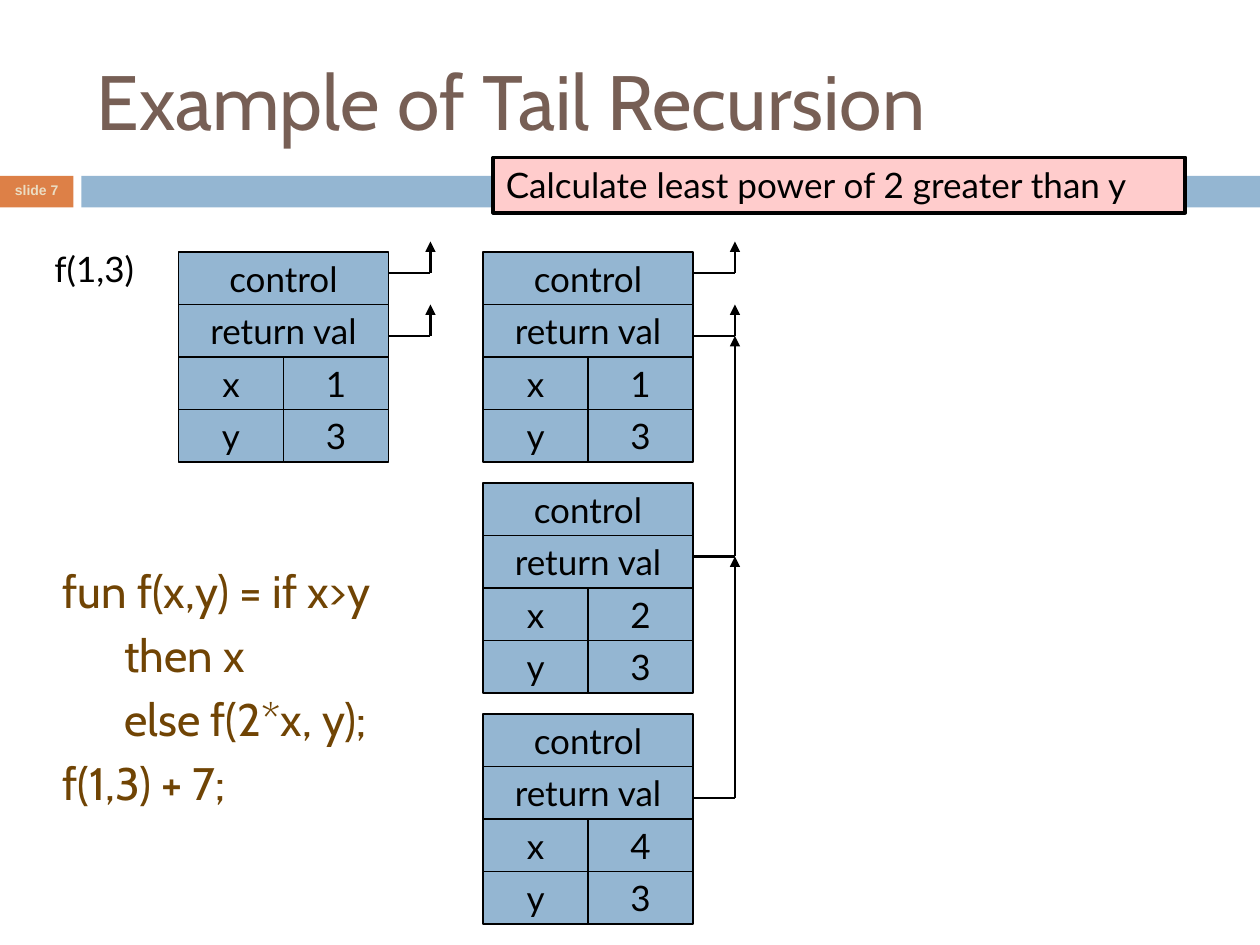
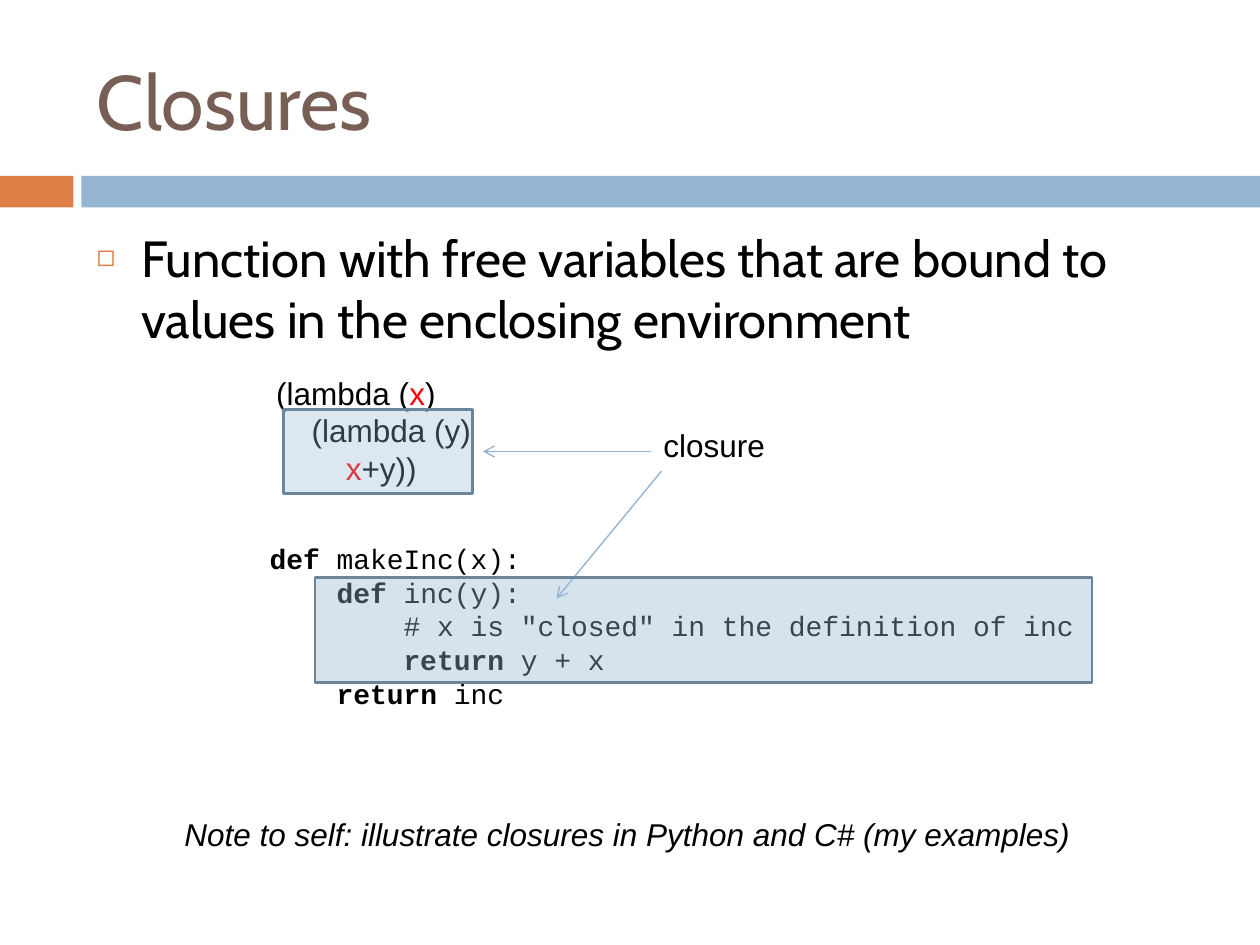
from dataclasses import dataclass

from lxml.etree import SubElement
from pptx import Presentation
from pptx.dml.color import RGBColor
from pptx.enum.shapes import MSO_CONNECTOR as Connector, MSO_SHAPE as Shape
from pptx.enum.text import MSO_ANCHOR as Anchor, MSO_AUTO_SIZE as AutoSize, PP_ALIGN as Align
from pptx.oxml.ns import qn
from pptx.util import Pt

EMU_PER_PX = 9525  # 96 px to the inch

BLACK = RGBColor(0x00, 0x00, 0x00)
RED = RGBColor(0xFF, 0x00, 0x00)
BLUE = RGBColor(0x94, 0xB6, 0xD2)
STEEL = RGBColor(0x6B, 0x85, 0x9A)
ORANGE = RGBColor(0xDD, 0x80, 0x47)
BROWN = RGBColor(0x77, 0x5F, 0x55)
UMBER = RGBColor(0x70, 0x44, 0x04)
SAND = RGBColor(0xEB, 0xDD, 0xC3)
PINK = RGBColor(0xFF, 0xCC, 0xCC)

TITLE = {"name": "Cabin", "size": 44, "color": BROWN}
CODE_LIST = {"name": "Cabin", "size": 26, "color": UMBER}
BULLET = {"name": "Cabin", "size": 29, "color": BLACK}
TAG = {"name": "Arial", "size": 8, "color": SAND, "bold": True}
DIAGRAM = {"name": "Lato", "size": 20, "color": BLACK}
PLAIN = {"name": "Arial", "size": 18, "color": BLACK}
MONO = {"name": "Courier New", "size": 16, "color": BLACK}


def px(length):
    return round(length * EMU_PER_PX)


@dataclass
class Box:
    left: int
    top: int
    width: int
    height: int

    def inner(self, left, top, width, height):
        return Box(self.left + left, self.top + top, width, height)

    def point(self, x, y):
        return self.left + x, self.top + y

    def emu(self):
        return [px(side) for side in (self.left, self.top, self.width, self.height)]


SLIDE = Box(0, 0, 960, 720)


# Text: a line is (indent in px, spans); a span is (text, changed formats)
def format_font(font, formats):
    for key, value in formats.items():
        if key == "color":
            font.color.rgb = value
        else:
            setattr(font, key, Pt(value) if key == "size" else value)


def write_lines(frame, lines, style, hanging=0, **para_formats):
    for number, (indent, spans) in enumerate(lines):
        para = frame.add_paragraph() if number else frame.paragraphs[0]
        for key, value in para_formats.items():
            setattr(para, key, value)
        props = para._p.get_or_add_pPr()
        props.set("marL", str(px(indent)))
        props.set("indent", str(px(-hanging)))
        for text, changes in spans:
            span = para.add_run()
            span.text = text
            format_font(span.font, {**style, **changes})


def one_line(text):
    return [(0, [(text, {})])]


def set_frame(frame, anchor):
    for key, value in {"word_wrap": True, "auto_size": AutoSize.NONE,
                       "vertical_anchor": anchor}.items():
        setattr(frame, key, value)


def add_text(page, box, lines, style, align=Align.LEFT, anchor=Anchor.TOP, leading=1.2):
    frame = page.shapes.add_textbox(*box.emu()).text_frame
    set_frame(frame, anchor)
    write_lines(frame, lines, style, alignment=align,
                line_spacing=Pt(style["size"] * leading))


def fill_placeholder(holder, box, lines, style, anchor=Anchor.TOP, **formats):
    for key, value in zip(("left", "top", "width", "height"), box.emu()):
        setattr(holder, key, value)
    set_frame(holder.text_frame, anchor)
    write_lines(holder.text_frame, lines, style, alignment=Align.LEFT, **formats)
    return [para._p.get_or_add_pPr() for para in holder.text_frame.paragraphs]


# Shapes and lines
def add_rect(page, box, fill, line=None, line_width=0.75, alpha=None):
    rect = page.shapes.add_shape(Shape.RECTANGLE, *box.emu())
    rect.shadow.inherit = False
    rect.fill.solid()
    rect.fill.fore_color.rgb = fill
    if alpha:
        color = rect._element.spPr.find(qn("a:solidFill"))[0]
        SubElement(color, qn("a:alpha"), val=str(alpha * 1000))
    if line is None:
        rect.line.fill.background()
    else:
        rect.line.color.rgb = line
        rect.line.width = Pt(line_width)
    return rect


def add_label_rect(page, box, text, fill=BLUE, align=Align.CENTER,
                   anchor=Anchor.MIDDLE, line_width=0.75):
    rect = add_rect(page, box, fill, BLACK, line_width)
    set_frame(rect.text_frame, anchor)
    write_lines(rect.text_frame, one_line(text), DIAGRAM, alignment=align)


def add_line(page, start, end, color, width, head=None):
    line = page.shapes.add_connector(
        Connector.STRAIGHT, *[px(value) for value in (*start, *end)])
    line.line.color.rgb = color
    line.line.width = Pt(width)
    if head:
        SubElement(line.line._get_or_add_ln(), qn("a:tailEnd"), type=head)
    SubElement(line._element.spPr, qn("a:effectLst"))


# What both slides share: title and the two bands
def add_page(deck, title):
    page = deck.slides.add_slide(deck.slide_layouts[1])
    fill_placeholder(page.shapes.title, SLIDE.inner(64, 24, 856, 104),
                     one_line(title), TITLE, Anchor.MIDDLE)
    add_rect(page, SLIDE.inner(0, 134, 56, 24), ORANGE)
    add_rect(page, SLIDE.inner(62, 134, 898, 24), BLUE)
    return page


# One activation record: two full rows, then name and value pairs
def add_record(page, box, x, y):
    row, half = box.height // 4, box.width // 2
    for number, text in enumerate(("control", "return val")):
        add_label_rect(page, box.inner(0, number * row, box.width, row), text)
    for number, pair in enumerate((("x", x), ("y", y)), start=2):
        for column, text in enumerate(pair):
            add_label_rect(page, box.inner(column * half, number * row, half, row), str(text))


# A pointer leaves the record's right side and turns upwards
def add_pointer(page, box, offset, rise):
    corner = box.point(box.width + 32, offset)
    add_line(page, box.point(box.width, offset), corner, BLACK, 1.5)
    add_line(page, corner, (corner[0], corner[1] - rise), BLACK, 1.5, "triangle")


def build_recursion(deck):
    page = add_page(deck, "Example of Tail Recursion")
    add_text(page, SLIDE.inner(0, 133, 56, 26), one_line("slide 7"), TAG,
             Align.CENTER, Anchor.MIDDLE, leading=0.92)

    # Function definition
    source = [(38, "fun f(x,y) = if x>y"), (85, "then x"),
              (85, "else f(2*x, y);"), (38, "f(1,3) + 7;")]
    for props in fill_placeholder(
            page.placeholders[1], SLIDE.inner(0, 424, 368, 224),
            [(indent, [(text, {})]) for indent, text in source],
            CODE_LIST, space_before=Pt(5.5)):
        SubElement(props, qn("a:buNone"))

    # First call alone, then the stack of three calls
    first_call = SLIDE.inner(136, 192, 160, 160)
    stack = [SLIDE.inner(368, 192 + 176 * depth, 160, 160) for depth in range(3)]
    add_record(page, first_call, 1, 3)
    for depth, record in enumerate(stack):
        add_record(page, record, 2 ** depth, 3)

    # Control and return pointers
    for record in (first_call, stack[0]):
        for offset in (16, 64):
            add_pointer(page, record, offset, 24)
    add_pointer(page, stack[1], 56, 168)
    add_pointer(page, stack[2], 64, 184)

    add_text(page, SLIDE.inner(32, 184, 120, 42), one_line("f(1,3)"), DIAGRAM)
    add_label_rect(page, SLIDE.inner(376, 120, 527, 42),
                   "Calculate least power of 2 greater than y",
                   PINK, Align.LEFT, Anchor.TOP, 2.25)


# Lambda expression with its closure marked
def add_lambda(page, box):
    red = {"color": RED}
    add_text(page, box, [
        (0, [("(lambda (", {}), ("x", red), (")", {})]),
        (27, [("(lambda (y)", {})]),
        (53, [("x", red), ("+y))", {})]),
    ], PLAIN)
    add_rect(page, box.inner(15, 32, 144, 64), BLUE, STEEL, 1.5, alpha=32)


# Python function, the arrow to its closure and the marked closure
def add_python(page, box, arrow_start):
    bold, step = {"bold": True}, 51
    add_text(page, box, [
        (0, [("def", bold), (" makeInc(x):", {})]),
        (step, [("def", bold), (" inc(y):", {})]),
        (2 * step, [('# x is "closed" in the definition of inc', {})]),
        (2 * step, [("return", bold), (" y + x", {})]),
        (step, [("return", bold), (" inc", {})]),
    ], MONO)
    add_line(page, arrow_start, box.point(228, 48), BLUE, 0.79, "arrow")
    add_rect(page, box.inner(44, 32, 592, 80), BLUE, STEEL, 1.5, alpha=38)


def build_closures(deck):
    page = add_page(deck, "Closures")
    definition = "Function with free variables that are bound to values in the enclosing environment"
    for props in fill_placeholder(
            page.placeholders[1], SLIDE.inner(64, 168, 856, 472),
            [(34, [(definition, {})])], BULLET, hanging=34, space_before=Pt(7)):
        SubElement(SubElement(props, qn("a:buClr")), qn("a:srgbClr"), val=str(ORANGE))
        SubElement(props, qn("a:buSzPct"), val="60000")
        SubElement(props, qn("a:buChar"), char="◻")

    add_lambda(page, SLIDE.inner(201, 280, 172, 96))
    label = SLIDE.inner(496, 320, 100, 38)
    add_line(page, label.point(0, 24), SLIDE.point(368, 344), BLUE, 0.79, "arrow")
    add_text(page, label, one_line("closure"), PLAIN)
    add_text(page, SLIDE.inner(131, 616, 700, 38),
             one_line("Note to self: illustrate closures in Python and C# (my examples)"),
             {**PLAIN, "italic": True})
    add_python(page, SLIDE.inner(196, 408, 640, 163), label.point(8, 39))


def main():
    deck = Presentation()
    deck.slide_width, deck.slide_height = px(SLIDE.width), px(SLIDE.height)
    build_recursion(deck)
    build_closures(deck)
    deck.save("out.pptx")


if __name__ == "__main__":
    main()
